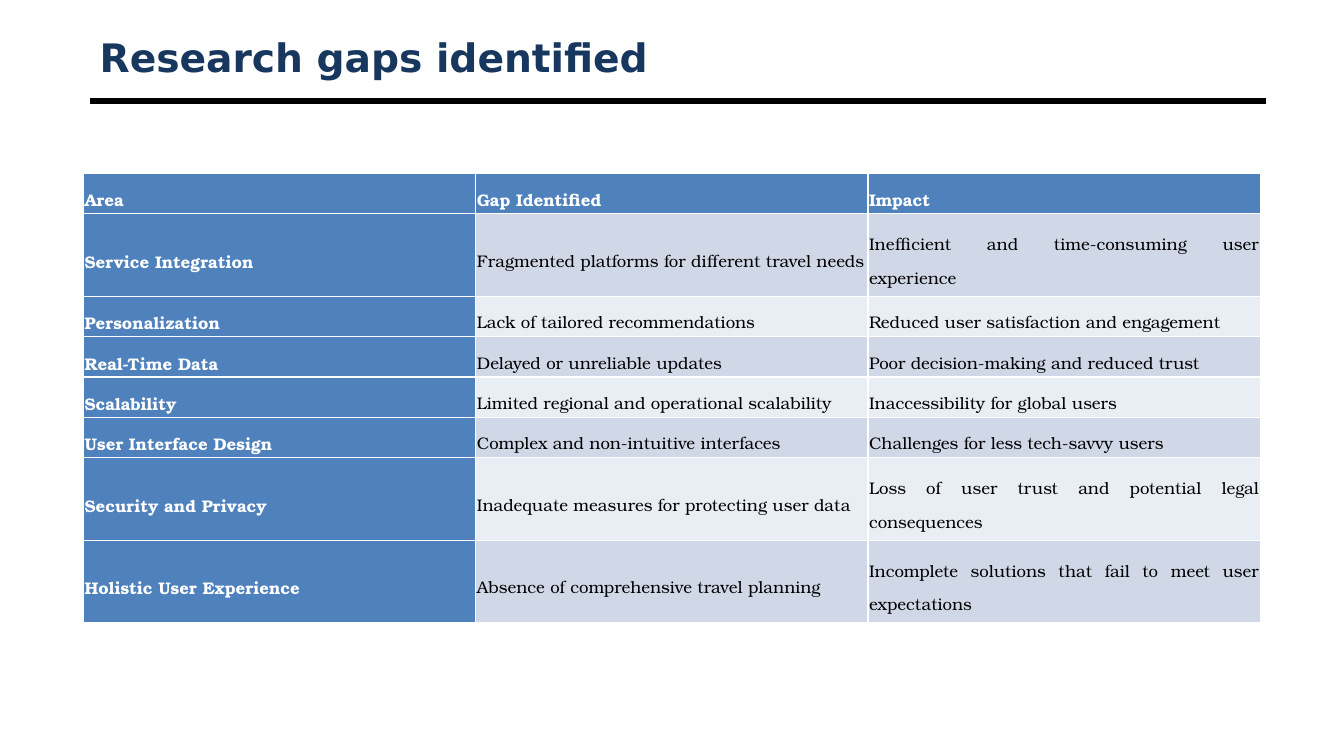
from lxml.etree import SubElement
from pptx import Presentation
from pptx.dml.color import RGBColor
from pptx.enum.shapes import MSO_CONNECTOR
from pptx.enum.text import MSO_ANCHOR, PP_ALIGN
from pptx.oxml.ns import qn
from pptx.util import Inches, Pt


def color(value):
    return RGBColor.from_string(value)


def style_font(paragraph, name, size, value, bold):
    font = paragraph.font
    font.name = name
    font.size = Pt(size)
    font.bold = bold
    font.color.rgb = color(value)


deck = Presentation()
deck.slide_width = Inches(13.33)
deck.slide_height = Inches(7.5)
page = deck.slides.add_slide(deck.slide_layouts[6])

rule = page.shapes.add_connector(
    MSO_CONNECTOR.STRAIGHT, Inches(0.89), Inches(1), Inches(12.56), Inches(1))
rule.line.color.rgb = color("000000")
rule.line.width = Pt(4.5)
SubElement(rule.line._get_or_add_ln().getparent(), qn("a:effectLst"))

title = page.shapes.add_textbox(
    Inches(0.89), Inches(0.3), Inches(11.67), Inches(0.53)).text_frame
title.word_wrap = True
title.vertical_anchor = MSO_ANCHOR.MIDDLE
title.text = "Research gaps identified"
style_font(title.paragraphs[0], "DejaVu Sans", 28, "17375E", True)

rows = [
    ("Area", "Gap Identified", "Impact"),
    ("Service Integration", "Fragmented platforms for different travel needs",
     "Inefficient and time-consuming user experience"),
    ("Personalization", "Lack of tailored recommendations",
     "Reduced user satisfaction and engagement"),
    ("Real-Time Data", "Delayed or unreliable updates",
     "Poor decision-making and reduced trust"),
    ("Scalability", "Limited regional and operational scalability",
     "Inaccessibility for global users"),
    ("User Interface Design", "Complex and non-intuitive interfaces",
     "Challenges for less tech-savvy users"),
    ("Security and Privacy", "Inadequate measures for protecting user data",
     "Loss of user trust and potential legal consequences"),
    ("Holistic User Experience", "Absence of comprehensive travel planning",
     "Incomplete solutions that fail to meet user expectations"),
]
two_line_rows = (1, 6, 7)

table = page.shapes.add_table(
    len(rows), 3, Inches(0.83), Inches(1.72), Inches(11.67), Inches(4.47)).table
table.first_col = True

for row_index, texts in enumerate(rows):
    height = 0.82 if row_index in two_line_rows else 0.4
    table.rows[row_index].height = Inches(height)
    band = "D0D8E8" if row_index % 2 else "E9EDF4"
    for column_index, text in enumerate(texts):
        heading = row_index == 0 or column_index == 0
        cell = table.cell(row_index, column_index)
        cell.fill.solid()
        cell.fill.fore_color.rgb = color("4F81BD" if heading else band)
        cell.margin_left = cell.margin_right = Inches(0.01)
        cell.margin_top = cell.margin_bottom = Inches(0.01)
        cell.vertical_anchor = MSO_ANCHOR.MIDDLE
        cell.text = text
        paragraph = cell.text_frame.paragraphs[0]
        paragraph.alignment = PP_ALIGN.JUSTIFY
        paragraph.line_spacing = 1.5
        style_font(paragraph, "TeX Gyre Bonum", 12,
                   "FFFFFF" if heading else "000000", heading)

deck.save("out.pptx")
